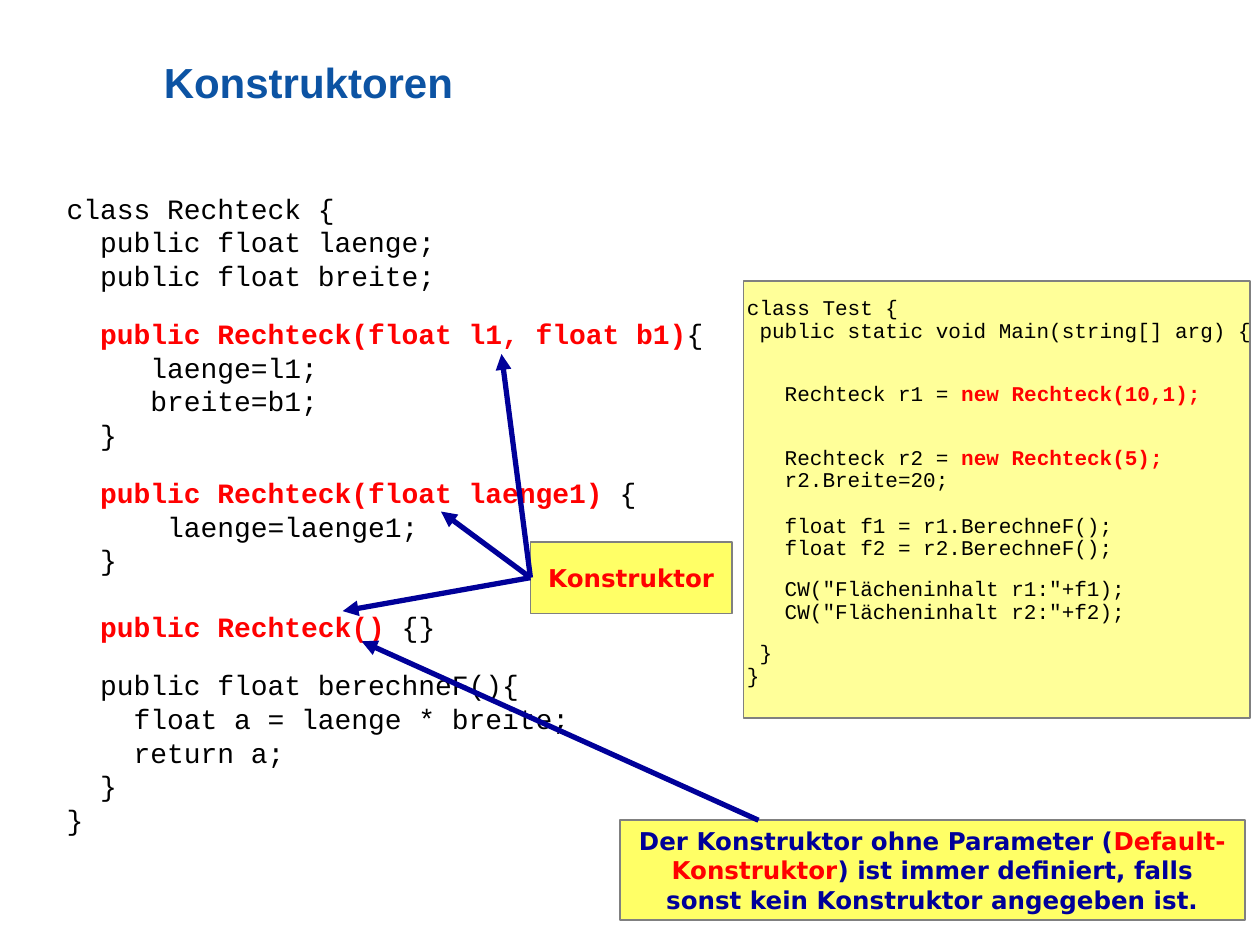
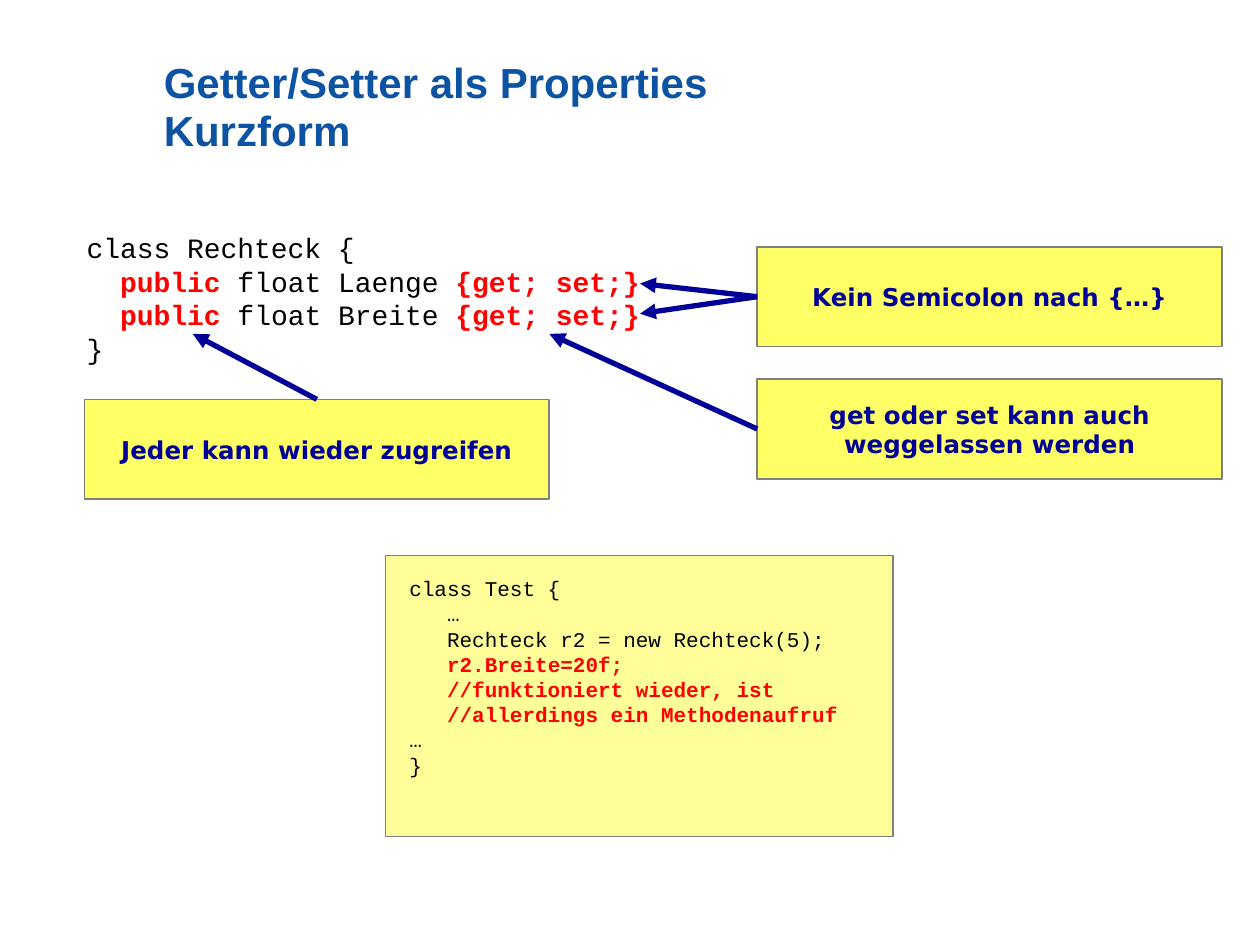
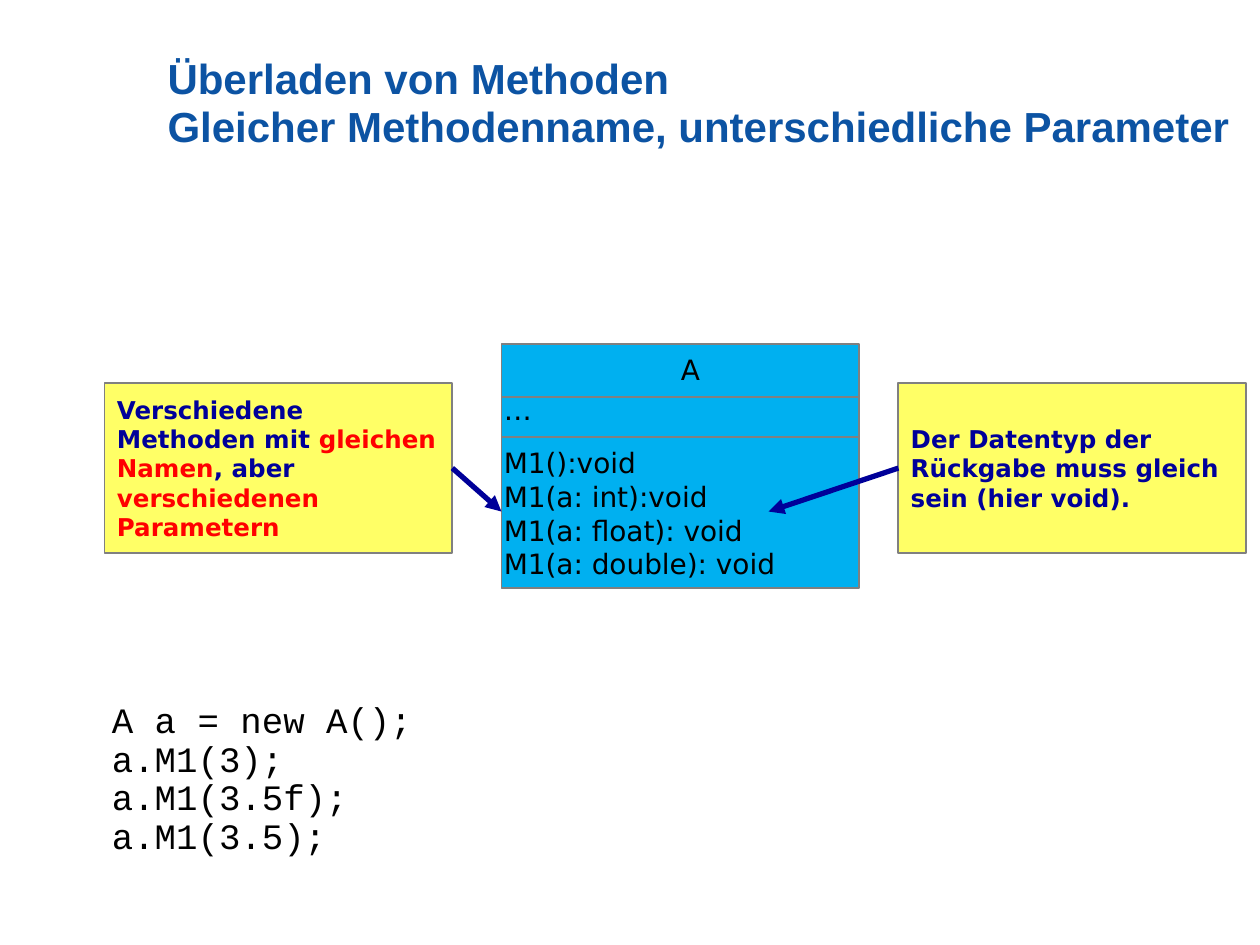
"""Build three slides on constructors, properties and overloaded methods."""
from lxml.etree import SubElement
from pptx import Presentation
from pptx.dml.color import RGBColor
from pptx.enum.shapes import MSO_CONNECTOR, MSO_SHAPE
from pptx.enum.text import MSO_ANCHOR, PP_ALIGN
from pptx.oxml.ns import qn
from pptx.util import Inches, Pt

TITLE_BLUE = RGBColor(0x0C, 0x53, 0xA3)
NAVY = RGBColor(0x00, 0x00, 0x99)
RED = RGBColor(0xFF, 0x00, 0x00)
BLACK = RGBColor(0x00, 0x00, 0x00)
GRAY = RGBColor(0x80, 0x80, 0x80)
NOTE_YELLOW = RGBColor(0xFF, 0xFF, 0x66)
CODE_YELLOW = RGBColor(0xFF, 0xFF, 0x99)
CLASS_BLUE = RGBColor(0x00, 0xB0, 0xF0)

TOP, LEFT, RIGHT = 0, 1, 3

TITLE_STYLE = dict(font="Arial", size=24, color=TITLE_BLUE, bold=True, line_spacing=0.95)
NOTE_STYLE = dict(font="DejaVu Sans", size=14, color=NAVY, bold=True)
CLASS_STYLE = dict(font="DejaVu Sans", size=16, color=BLACK)
CODE_STYLE = dict(font="Courier New", size=16, color=BLACK, before=4, after=10)
TEST_STYLE = dict(font="Courier New", size=12, color=BLACK, before=3, after=7.5)
CALL_STYLE = dict(font="Courier New", size=20.4, color=BLACK, before=6, after=15, line_spacing=0.9)
DENSE_TEST_STYLE = dict(TEST_STYLE, line_spacing=0.9)
CENTERED_NOTE_STYLE = dict(NOTE_STYLE, align=PP_ALIGN.CENTER)

# Text between two bars is highlighted in red.
RECHTECK_CODE = [
    "class Rechteck {\n  public float laenge;\n  public float breite;",
    "  |public Rechteck(float l1, float b1)|{\n     laenge=l1;\n     breite=b1;\n  }",
    "  |public Rechteck(float laenge1)| {\n      laenge=laenge1;\n  }\n\n"
    "  |public Rechteck()| {}",
    "  public float berechneF(){\n    float a = laenge * breite;\n    return a;\n  }\n}",
]
TEST_CODE = [
    ("class Test {\n public static void Main(string[] arg) {", 20.4),
    ("   Rechteck r1 = |new Rechteck(10,1);|", 20.4),
    "   Rechteck r2 = |new Rechteck(5);|\n   r2.Breite=20;\n\n"
    "   float f1 = r1.BerechneF();\n   float f2 = r2.BerechneF();",
    '   CW("Flächeninhalt r1:"+f1);\n   CW("Flächeninhalt r2:"+f2);',
    " }\n}",
]
PROPERTY_CODE = [
    "class Rechteck {\n  |public| float Laenge |{get; set;}|\n"
    "  |public| float Breite |{get; set;}|\n}",
]
PROPERTY_TEST_CODE = [
    "class Test {\n   …\n   Rechteck r2 = new Rechteck(5);\n"
    "   |r2.Breite=20f;\n   //funktioniert wieder, ist\n"
    "   //allerdings ein Methodenaufruf|\n…\n}",
]
CALL_CODE = ["A a = new A();\na.M1(3);\na.M1(3.5f);\na.M1(3.5);"]

SLIDES = [
    dict(
        title="Konstruktoren", title_at=(1.3, 0.36),
        panels=[((5.9, 2.23, 4.02, 3.47), CODE_YELLOW)],
        texts=[((0.43, 1.47, 6.61, 5.54), RECHTECK_CODE, CODE_STYLE),
               ((5.83, 2.31, 4.25, 3.46), TEST_CODE, DENSE_TEST_STYLE)],
        notes=[((4.21, 4.3, 1.6, 0.57), "|Konstruktor|", CENTERED_NOTE_STYLE),
               ((4.92, 6.51, 4.96, 0.79),
                "Der Konstruktor ohne Parameter (|Default-Konstruktor|) ist immer "
                "definiert, falls sonst kein Konstruktor angegeben ist.",
                CENTERED_NOTE_STYLE)],
        joined_arrows=[(0, LEFT, (3.98, 2.81)), (0, LEFT, (3.5, 4.06)),
                       (0, LEFT, (2.72, 4.85))],
        free_arrows=[((6.02, 6.51), (2.87, 5.09))],
    ),
    dict(
        title="Getter/Setter als Properties\nKurzform", title_at=(1.3, 0.36),
        panels=[((3.06, 4.41, 4.03, 2.23), CODE_YELLOW)],
        texts=[((0.59, 1.78, 4.8, 1.42), PROPERTY_CODE, CODE_STYLE),
               ((3.15, 4.52, 3.77, 1.98), PROPERTY_TEST_CODE, TEST_STYLE)],
        notes=[((6.01, 1.96, 3.69, 0.79), "Kein Semicolon nach {…}", CENTERED_NOTE_STYLE),
               ((0.67, 3.17, 3.69, 0.79), "Jeder kann wieder zugreifen", CENTERED_NOTE_STYLE),
               ((6.01, 3.01, 3.69, 0.79), "get oder set kann auch weggelassen werden",
                CENTERED_NOTE_STYLE)],
        joined_arrows=[(0, LEFT, (5.08, 2.25)), (0, LEFT, (5.08, 2.49)),
                       (1, TOP, (1.53, 2.65)), (2, LEFT, (4.36, 2.65))],
    ),
    dict(
        title="Überladen von Methoden\nGleicher Methodenname, unterschiedliche Parameter",
        title_at=(1.33, 0.33),
        panels=[((3.98, 2.73, 2.84, 1.94), CLASS_BLUE)],
        dividers=[((3.98, y), (6.81, y)) for y in (3.15, 3.47)],
        texts=[((0.79, 5.53, 9.1, 1.7), CALL_CODE, CALL_STYLE),
               ((3.9, 3.07, 2.52, 0.37), ["…"], CLASS_STYLE),
               ((3.9, 3.49, 3.23, 1.17),
                ["M1():void", "M1(a: int):void", "M1(a: float): void", "M1(a: double): void"],
                CLASS_STYLE),
               ((4.22, 2.75, 2.52, 0.37), ["A"], dict(CLASS_STYLE, align=PP_ALIGN.CENTER))],
        notes=[((0.83, 3.04, 2.76, 1.35),
                "Verschiedene Methoden mit |gleichen Namen|, aber |verschiedenen Parametern|",
                NOTE_STYLE),
               ((7.13, 3.04, 2.76, 1.35),
                "Der Datentyp der Rückgabe muss gleich sein (hier void).", NOTE_STYLE)],
        joined_arrows=[(1, LEFT, (6.1, 4.06)), (0, RIGHT, (3.98, 4.06))],
    ),
]


def write_paragraph(paragraph, text, font, size, color, bold=False, align=PP_ALIGN.LEFT,
                    before=0, after=0, line_spacing=1.0):
    paragraph.alignment = align
    paragraph.space_before, paragraph.space_after = Pt(before), Pt(after)
    paragraph.line_spacing = line_spacing
    for part_number, part in enumerate(text.split("|")):
        highlighted = part_number % 2 == 1
        for line_number, line in enumerate(part.split("\n")):
            if line_number:
                paragraph.add_line_break()
            if line:
                run = paragraph.add_run()
                run.text = line
                run.font.name, run.font.size = font, Pt(size)
                run.font.bold = bold or highlighted
                run.font.color.rgb = RED if highlighted else color
    for line_break in paragraph._p.findall(qn("a:br")):
        properties = SubElement(line_break, qn("a:rPr"), sz=str(round(size * 100)))
        SubElement(properties, qn("a:latin"), typeface=font)


def write(shape, paragraphs, style):
    text_frame = shape.text_frame
    text_frame.word_wrap = True
    for number, entry in enumerate(paragraphs):
        paragraph = text_frame.add_paragraph() if number else text_frame.paragraphs[0]
        if isinstance(entry, tuple):
            text, after = entry
            write_paragraph(paragraph, text, **dict(style, after=after))
        else:
            write_paragraph(paragraph, entry, **style)


def add_text(slide, box, paragraphs, style):
    shape = slide.shapes.add_textbox(*map(Inches, box))
    write(shape, paragraphs, style)
    return shape


def add_title(slide, text, corner):
    text_frame = add_text(slide, (*corner, 8.5, 1), [text], TITLE_STYLE).text_frame
    text_frame.margin_left = text_frame.margin_right = text_frame.margin_bottom = 0
    text_frame.margin_top = Inches(0.12)


def add_panel(slide, box, color):
    shape = slide.shapes.add_shape(MSO_SHAPE.RECTANGLE, *map(Inches, box))
    shape.shadow.inherit = False
    shape.fill.solid()
    shape.fill.fore_color.rgb = color
    shape.line.color.rgb = GRAY
    shape.line.width = Pt(1)
    return shape


def add_note(slide, box, text, style):
    shape = add_panel(slide, box, NOTE_YELLOW)
    shape.text_frame.vertical_anchor = MSO_ANCHOR.MIDDLE
    write(shape, [text], style)
    return shape


def add_line(slide, start, end, color, width):
    line = slide.shapes.add_connector(MSO_CONNECTOR.STRAIGHT, *map(Inches, (*start, *end)))
    line.line.color.rgb = color
    line.line.width = Pt(width)
    SubElement(line._element.spPr, qn("a:effectLst"))
    return line


def add_arrow(slide, start, end):
    arrow = add_line(slide, start, end, NAVY, 3)
    SubElement(arrow.line._get_or_add_ln(), qn("a:tailEnd"), type="triangle")
    return arrow


def build_slide(presentation, content):
    slide = presentation.slides.add_slide(presentation.slide_layouts[6])
    add_title(slide, content["title"], content["title_at"])
    for box, color in content["panels"]:
        add_panel(slide, box, color)
    for start, end in content.get("dividers", []):
        add_line(slide, start, end, GRAY, 1)
    for box, paragraphs, style in content["texts"]:
        add_text(slide, box, paragraphs, style)
    notes = [add_note(slide, *note) for note in content["notes"]]
    for note_number, side, target in content["joined_arrows"]:
        add_arrow(slide, target, target).begin_connect(notes[note_number], side)
    for start, end in content.get("free_arrows", []):
        add_arrow(slide, start, end)


def main():
    presentation = Presentation()
    presentation.slide_width, presentation.slide_height = Inches(10), Inches(7.5)
    for content in SLIDES:
        build_slide(presentation, content)
    presentation.save("out.pptx")


if __name__ == "__main__":
    main()
